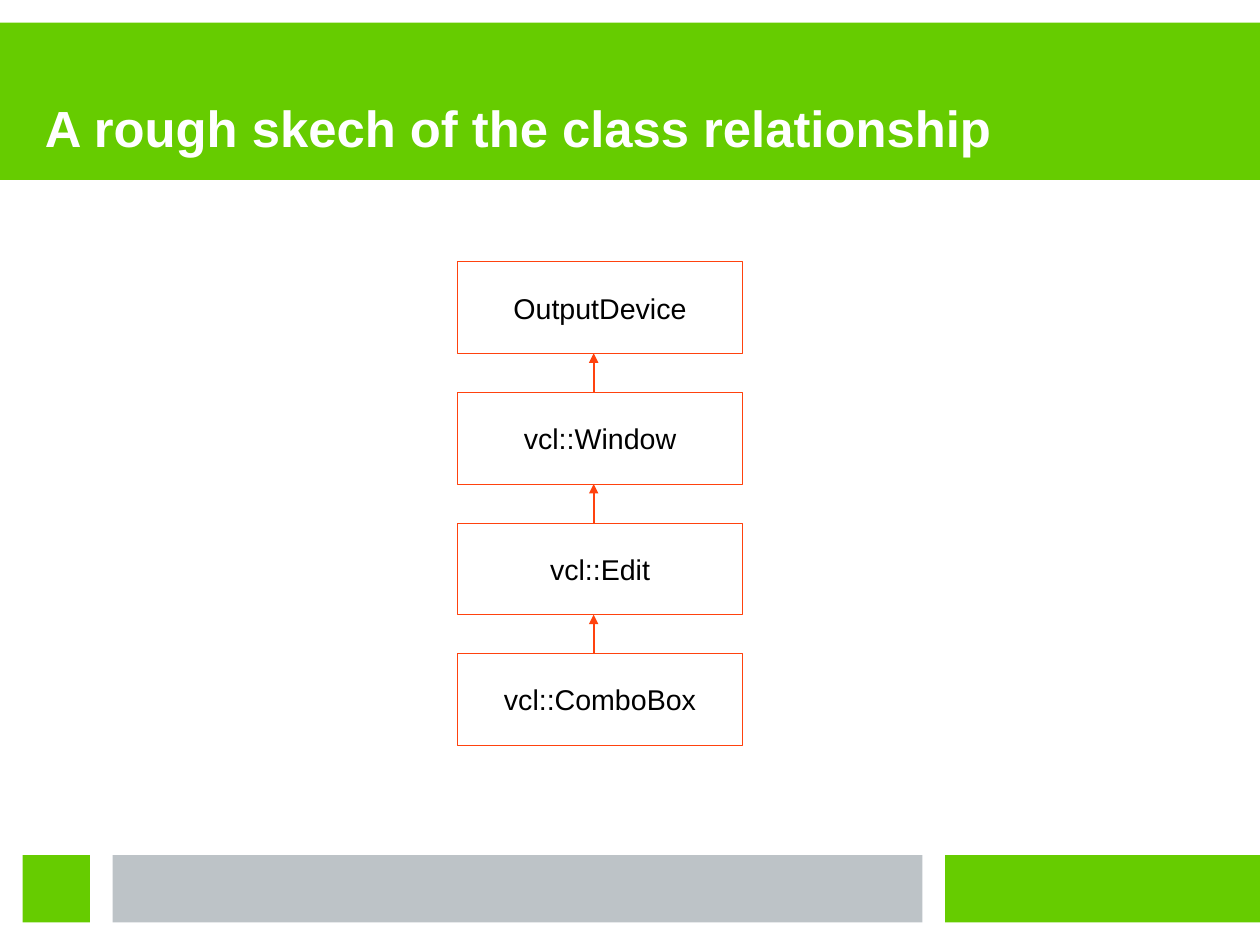
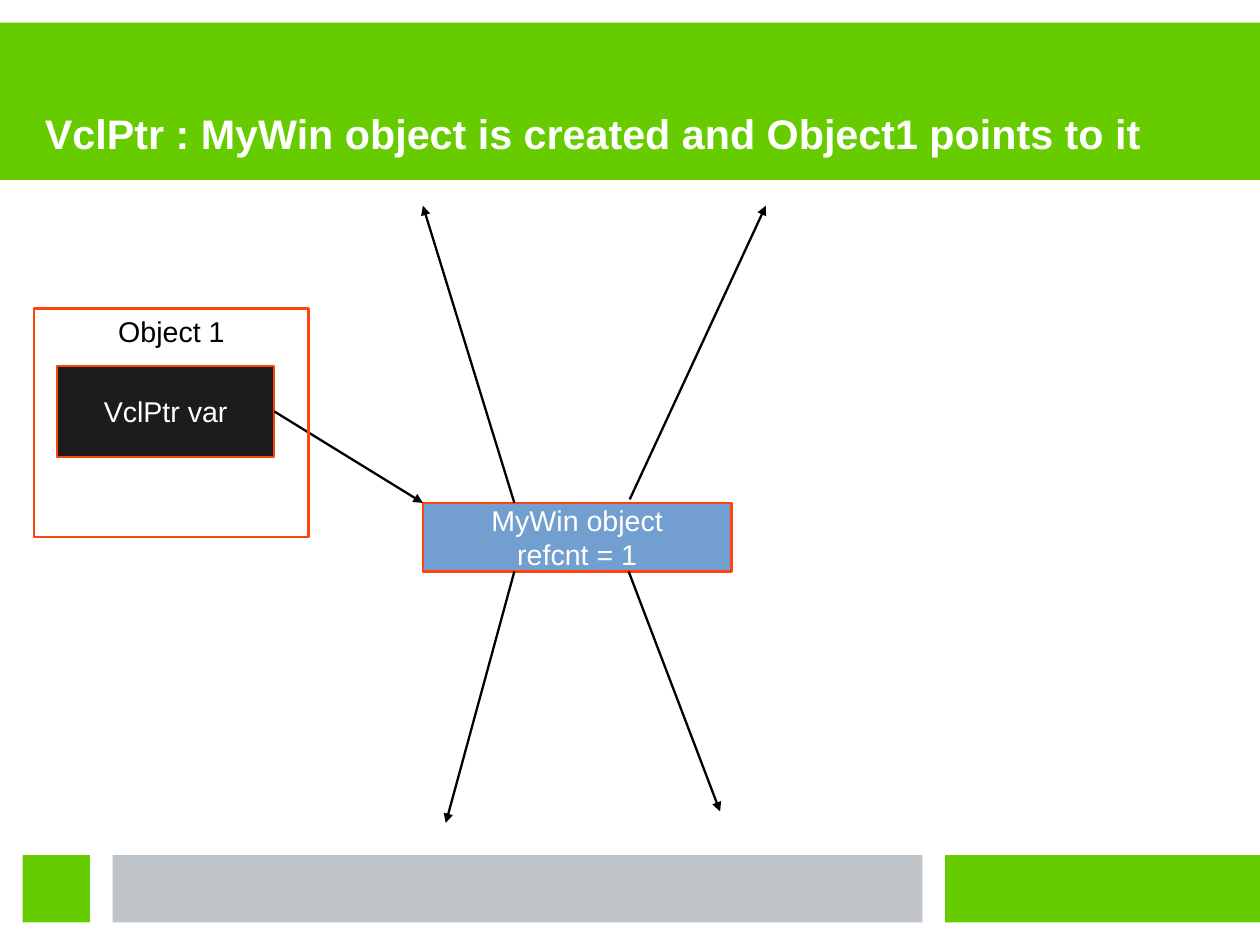
from dataclasses import dataclass

import pptx
import pptx.presentation
import pptx.shapes.autoshape
import pptx.shapes.connector
import pptx.slide
from lxml import etree
from pptx.dml.color import RGBColor
from pptx.enum.shapes import MSO_CONNECTOR, MSO_SHAPE
from pptx.enum.text import MSO_ANCHOR, MSO_AUTO_SIZE, PP_ALIGN
from pptx.oxml.ns import qn
from pptx.util import Pt

GREEN = RGBColor(0x66, 0xCC, 0x00)
GREY = RGBColor(0xBD, 0xC3, 0xC7)
ORANGE = RGBColor(0xFF, 0x42, 0x0E)
BLUE = RGBColor(0x72, 0x9F, 0xCF)
CHARCOAL = RGBColor(0x1C, 0x1C, 0x1C)
BLACK = RGBColor(0x00, 0x00, 0x00)
WHITE = RGBColor(0xFF, 0xFF, 0xFF)

FONT = "Arial"
SLIDE_WIDTH, SLIDE_HEIGHT = 793.7, 595.3
THIN, MEDIUM = 0.5, 1.45


@dataclass(frozen=True)
class Box:
    """A rectangle in points, with optional text, fill and outline."""
    left: float
    top: float
    width: float
    height: float
    text: str = ""
    fill: RGBColor | None = None
    line: RGBColor | None = ORANGE
    line_width: float = MEDIUM
    color: RGBColor = BLACK
    anchor: MSO_ANCHOR = MSO_ANCHOR.MIDDLE


@dataclass(frozen=True)
class Arrow:
    """A straight line in points with its arrowhead at the end."""
    begin: tuple[float, float]
    end: tuple[float, float]
    color: RGBColor = BLACK


FOOTER_TOP, FOOTER_HEIGHT = 538.6, 42.5
BANDS = [
    Box(0, 14.2, SLIDE_WIDTH, 99.2, fill=GREEN, line=None),
    Box(595.3, FOOTER_TOP, 198.4, FOOTER_HEIGHT, fill=GREEN, line=None),
    Box(70.9, FOOTER_TOP, 510.2, FOOTER_HEIGHT, fill=GREY, line=None),
    Box(14.2, FOOTER_TOP, 42.5, FOOTER_HEIGHT, fill=GREEN, line=None),
]

CLASS_NAMES = ["OutputDevice", "vcl::Window", "vcl::Edit", "vcl::ComboBox"]
CLASS_TOP, CLASS_PITCH = 165, 82.3
INHERITANCE_X = 374

WINDOW_OBJECT = Box(266.4, 316.8, 194.4, 43.2, "MyWin object\nrefcnt = 1",
                    fill=BLUE, color=WHITE)
POINTER_VARIABLE = Box(36, 230.4, 136.8, 57.6, "VclPtr var",
                       fill=CHARCOAL, color=WHITE)
OWNER_OBJECT = Box(21.6, 194.4, 172.8, 144, "Object 1", anchor=MSO_ANCHOR.TOP)
POINTER_ARROW = Arrow((172.8, 259.2), (266.4, 316.8))
WINDOW_ARROWS = [
    Arrow((324, 316.8), (266.4, 129.6)),
    Arrow((396.7, 314.6), (482.4, 129.6)),
    Arrow((324, 360), (280.8, 518.4)),
    Arrow((396, 360), (453.6, 511.2)),
]


def add_box(slide: pptx.slide.Slide, box: Box) -> pptx.shapes.autoshape.Shape:
    shape = slide.shapes.add_shape(
        MSO_SHAPE.RECTANGLE,
        Pt(box.left), Pt(box.top), Pt(box.width), Pt(box.height))
    shape.shadow.inherit = False
    if box.fill is None:
        shape.fill.background()
    else:
        shape.fill.solid()
        shape.fill.fore_color.rgb = box.fill
    if box.line is None:
        shape.line.fill.background()
    else:
        shape.line.color.rgb = box.line
        shape.line.width = Pt(box.line_width)
    if box.text:
        frame = shape.text_frame
        frame.text = box.text
        frame.word_wrap = False
        frame.vertical_anchor = box.anchor
        for paragraph in frame.paragraphs:
            paragraph.alignment = PP_ALIGN.CENTER
            paragraph.font.name = FONT
            paragraph.font.size = Pt(18)
            paragraph.font.color.rgb = box.color
    return shape


def add_arrow(slide: pptx.slide.Slide,
              arrow: Arrow) -> pptx.shapes.connector.Connector:
    connector = slide.shapes.add_connector(
        MSO_CONNECTOR.STRAIGHT,
        *(Pt(value) for value in arrow.begin + arrow.end))
    connector.line.color.rgb = arrow.color
    connector.line.width = Pt(MEDIUM)
    properties = connector.element.find(qn("p:spPr"))
    outline = properties.find(qn("a:ln"))
    etree.SubElement(outline, qn("a:tailEnd"), type="triangle")
    etree.SubElement(properties, qn("a:effectLst"))
    return connector


def style_layout(presentation: pptx.presentation.Presentation,
                 layout: pptx.slide.SlideLayout) -> None:
    """Place the title and bands on the layout that all slides share."""
    title = layout.placeholders[0]
    title.left, title.top = Pt(28.35), Pt(28.35)
    title.width, title.height = Pt(737), Pt(70.9)
    frame = title.text_frame
    frame.margin_left = frame.margin_right = 0
    frame.margin_top = frame.margin_bottom = 0
    frame.vertical_anchor = MSO_ANCHOR.BOTTOM
    frame.auto_size = MSO_AUTO_SIZE.NONE
    # Layouts cannot create shapes, so bands are made on a slide and moved.
    for number, band in enumerate(BANDS, start=101):
        element = add_box(presentation.slides[0], band).element
        element.xpath(".//p:cNvPr")[0].set("id", str(number))
        title.element.addprevious(element)


def set_title(slide: pptx.slide.Slide, text: str, size: float) -> None:
    slide.shapes.title.text_frame.text = text
    paragraph = slide.shapes.title.text_frame.paragraphs[0]
    paragraph.alignment = PP_ALIGN.LEFT
    paragraph.font.name = FONT
    paragraph.font.size = Pt(size)
    paragraph.font.bold = True
    paragraph.font.color.rgb = WHITE


def fill_class_slide(slide: pptx.slide.Slide) -> None:
    set_title(slide, "A rough skech of the class relationship", 32)
    boxes = [Box(288, CLASS_TOP + index * CLASS_PITCH, 180, 57.6, name,
                 line_width=THIN)
             for index, name in enumerate(CLASS_NAMES)]
    for box in boxes:
        add_box(slide, box)
    for parent, child in zip(boxes, boxes[1:]):
        add_arrow(slide, Arrow((INHERITANCE_X, child.top),
                               (INHERITANCE_X, parent.top + parent.height),
                               ORANGE))


def fill_pointer_slide(slide: pptx.slide.Slide) -> None:
    set_title(slide, "VclPtr : MyWin object is created and Object1 points to it", 26)
    add_box(slide, WINDOW_OBJECT)
    variable = add_box(slide, POINTER_VARIABLE)
    add_arrow(slide, POINTER_ARROW).begin_connect(variable, 3)
    add_box(slide, OWNER_OBJECT)
    for arrow in WINDOW_ARROWS:
        add_arrow(slide, arrow)


def main() -> None:
    presentation = pptx.Presentation()
    presentation.slide_width = Pt(SLIDE_WIDTH)
    presentation.slide_height = Pt(SLIDE_HEIGHT)
    layout = presentation.slide_layouts.get_by_name("Title Only")
    class_slide, pointer_slide = (
        presentation.slides.add_slide(layout) for _ in range(2))
    style_layout(presentation, layout)
    fill_class_slide(class_slide)
    fill_pointer_slide(pointer_slide)
    presentation.save("out.pptx")


if __name__ == "__main__":
    main()
